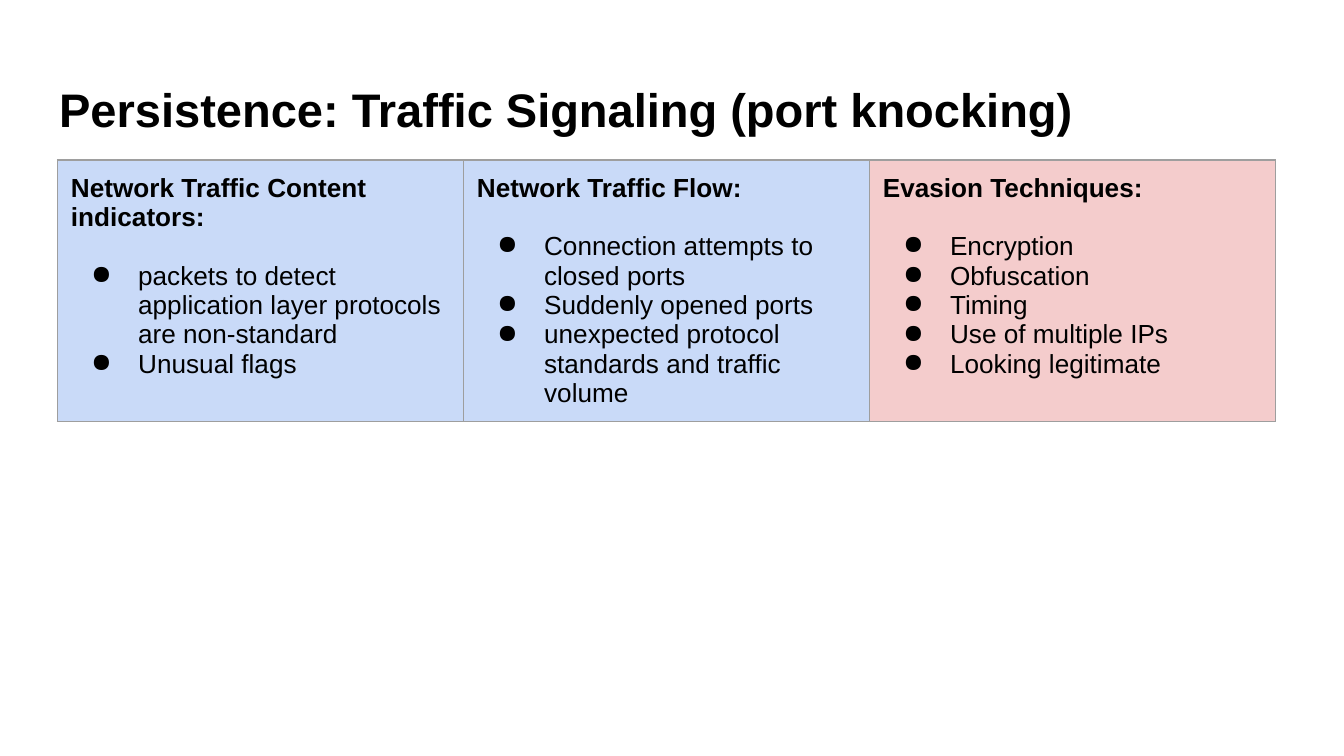
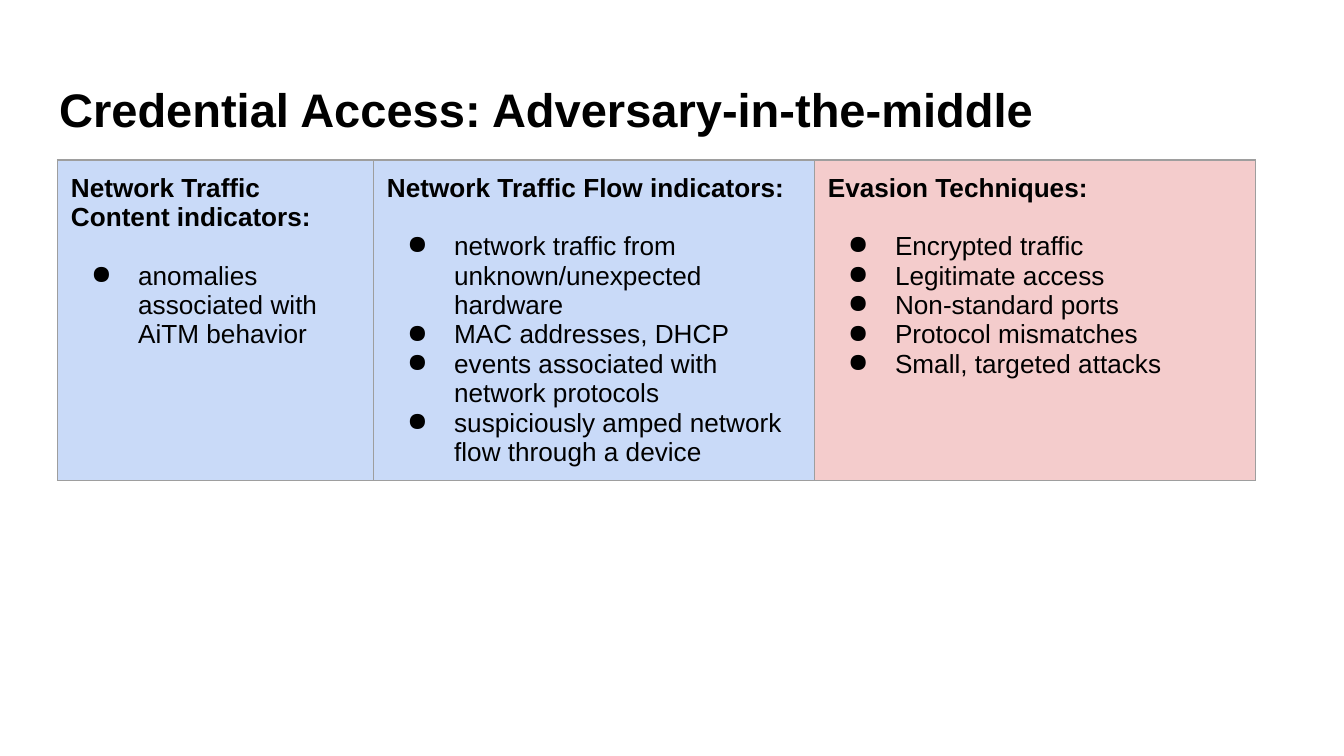
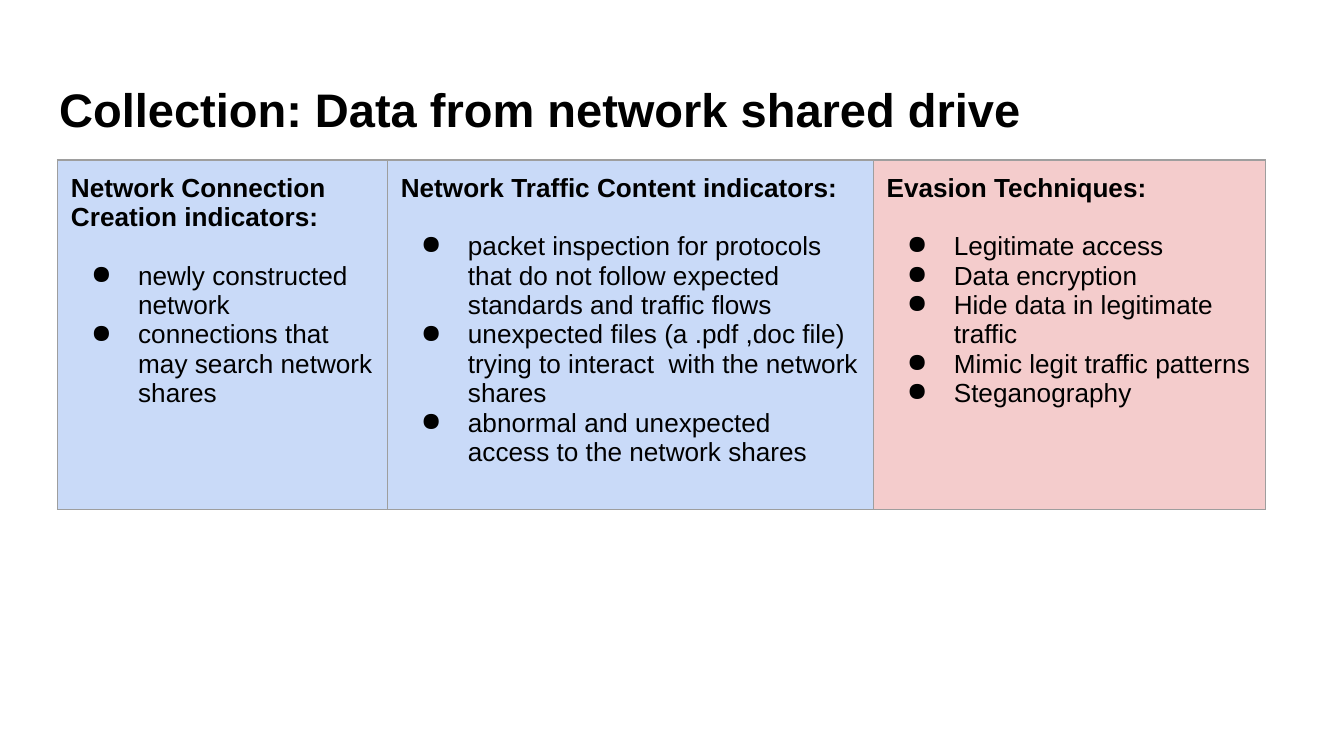
from lxml import etree
from pptx import Presentation
from pptx.dml import color
from pptx.enum import text
from pptx.oxml import ns
from pptx.util import Pt

FONT = "Arial"
BLACK = "000000"
INDICATOR_BLUE = "C9DAF8"
EVASION_PINK = "F4CCCC"
BORDER_GREY = "9E9E9E"
FILLS = (INDICATOR_BLUE, INDICATOR_BLUE, EVASION_PINK)
ROWS = 3

# Each page: title, column widths, least row height, columns of (heading, items)
PAGES = [
    ("Persistence: Traffic Signaling (port knocking)", (217.5, 217.5, 217.5), 30, [
        ("Network Traffic Content indicators:", [
            "packets to detect application layer protocols are non-standard",
            "Unusual flags"]),
        ("Network Traffic Flow:", [
            "Connection attempts to closed ports",
            "Suddenly opened ports",
            "unexpected protocol standards and traffic volume"]),
        ("Evasion Techniques:", [
            "Encryption", "Obfuscation", "Timing", "Use of multiple IPs",
            "Looking legitimate"]),
    ]),
    ("Credential Access: Adversary-in-the-middle", (169.3, 236.2, 236.2), 30, [
        ("Network Traffic Content indicators:", [
            "anomalies associated with AiTM behavior"]),
        ("Network Traffic Flow indicators:", [
            "network traffic from unknown/unexpected hardware",
            "MAC addresses, DHCP",
            "events associated with network protocols",
            "suspiciously amped network flow through a device"]),
        ("Evasion Techniques:", [
            "Encrypted traffic", "Legitimate access", "Non-standard ports",
            "Protocol mismatches", "Small, targeted attacks"]),
    ]),
    ("Collection: Data from network shared drive", (176.7, 260.3, 210), 62.4, [
        ("Network Connection Creation indicators:", [
            "newly constructed network",
            "connections that may search network shares"]),
        ("Network Traffic Content indicators:", [
            "packet inspection for protocols that do not follow expected "
            "standards and traffic flows",
            "unexpected files (a .pdf ,doc file) trying to interact  with "
            "the network shares",
            "abnormal and unexpected access to the network shares"]),
        ("Evasion Techniques:", [
            "Legitimate access", "Data encryption",
            "Hide data in legitimate traffic", "Mimic legit traffic patterns",
            "Steganography"]),
    ]),
]


def rgb(value):
    return color.RGBColor.from_string(value)


def add_xml(parent, tag, **attributes):
    return etree.SubElement(parent, ns.qn(tag), attributes)


def add_color(parent, value):
    add_xml(parent, "a:srgbClr", val=value)


def set_borders(cell):
    properties = cell._tc.get_or_add_tcPr()
    for side in ("a:lnL", "a:lnR", "a:lnT", "a:lnB"):
        line = add_xml(properties, side, w=str(Pt(0.75)))
        add_color(add_xml(line, "a:solidFill"), BORDER_GREY)


def set_bullet(para):
    properties = para._p.get_or_add_pPr()
    properties.set("marL", str(Pt(36)))
    properties.set("indent", str(Pt(-25.2)))
    add_color(add_xml(properties, "a:buClr"), BLACK)
    add_xml(properties, "a:buChar", char="●")


class Builder:
    """Holds the deck's style and the page being filled."""

    def __init__(self):
        self.deck = Presentation()
        self.deck.slide_width, self.deck.slide_height = Pt(720), Pt(405)
        self.page = None

    def style(self, para, size, bold):
        for span in para.runs:
            span.font.name = FONT
            span.font.size = Pt(size)
            span.font.bold = bold
            span.font.color.rgb = rgb(BLACK)

    def pad(self, box):
        """Give a text frame or a cell the shared inner margin."""
        box.margin_left = box.margin_right = Pt(7.2)
        box.margin_top = box.margin_bottom = Pt(7.2)

    def add_page(self, title):
        self.page = self.deck.slides.add_slide(self.deck.slide_layouts[5])
        box = self.page.shapes.title
        box.left, box.top, box.width, box.height = Pt(24.5), Pt(35.2), Pt(671), Pt(45.4)
        frame = box.text_frame
        frame.text = title
        frame.auto_size = text.MSO_AUTO_SIZE.NONE
        frame.vertical_anchor = text.MSO_ANCHOR.BOTTOM
        self.pad(frame)
        frame.paragraphs[0].alignment = text.PP_ALIGN.LEFT
        self.style(frame.paragraphs[0], 25.2, True)

    def fill_cell(self, cell, heading, items):
        self.pad(cell)
        frame = cell.text_frame
        frame.text = "\n".join([heading, *items])
        first, *rest = frame.paragraphs
        first.space_after = Pt(15.7)
        self.style(first, 14, True)
        for para in rest:
            set_bullet(para)
            self.style(para, 14, False)

    def add_columns(self, widths, row_height, columns):
        """Add a table whose columns are each merged into one tall cell."""
        table = self.page.shapes.add_table(
            ROWS, len(columns), Pt(30.8), Pt(85.7),
            Pt(sum(widths)), Pt(ROWS * row_height)).table
        table.first_row = table.horz_banding = False
        for row in table.rows:
            row.height = Pt(row_height)
        for index, (width, fill, column) in enumerate(zip(widths, FILLS, columns)):
            table.columns[index].width = Pt(width)
            for row in range(ROWS):
                cell = table.cell(row, index)
                set_borders(cell)
                cell.fill.solid()
                cell.fill.fore_color.rgb = rgb(fill)
            top = table.cell(0, index)
            top.merge(table.cell(ROWS - 1, index))
            self.fill_cell(top, *column)


def main():
    builder = Builder()
    for title, widths, row_height, columns in PAGES:
        builder.add_page(title)
        builder.add_columns(widths, row_height, columns)
    builder.deck.save("out.pptx")


if __name__ == "__main__":
    main()
